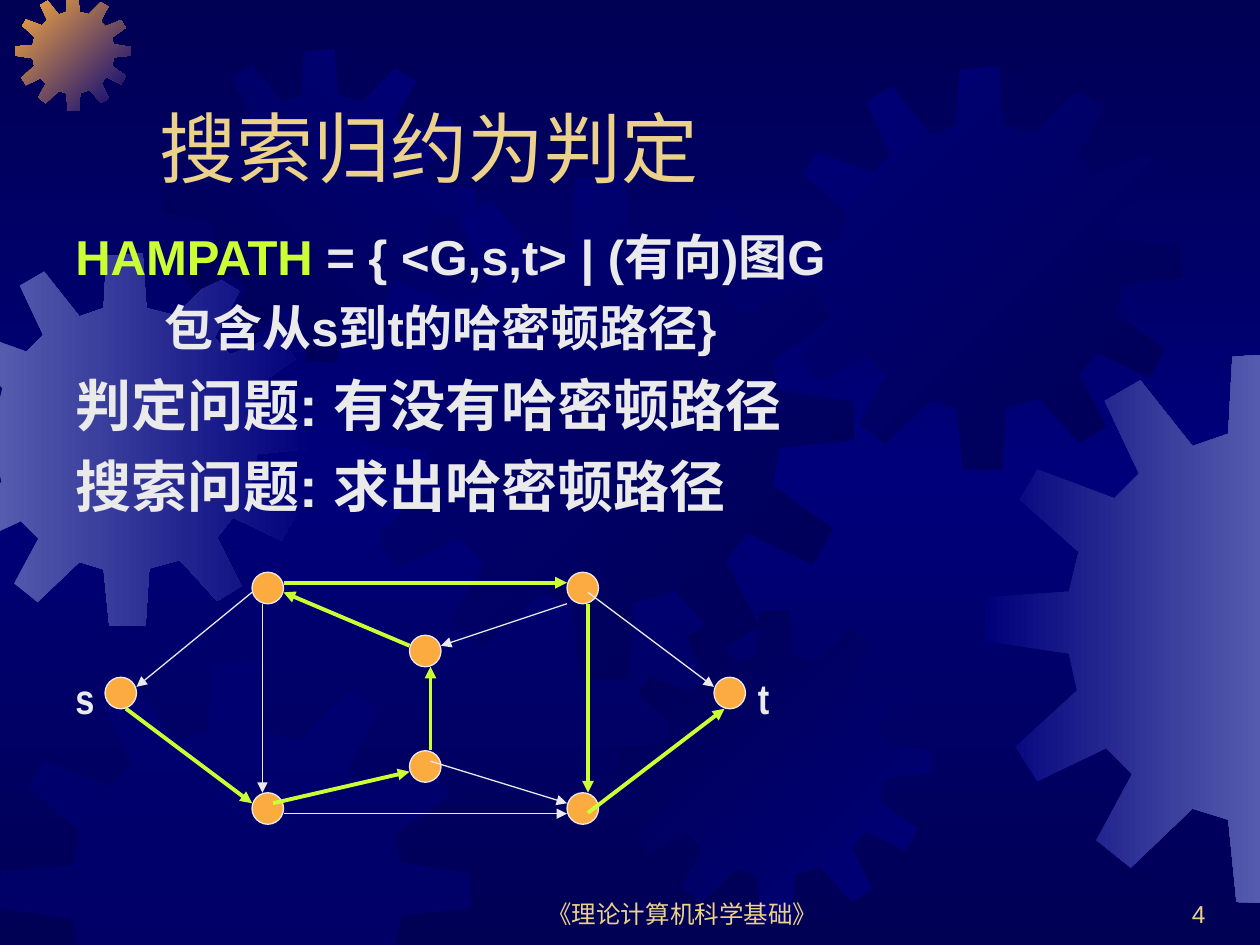
"""Build a slide on reducing search to decision, with a Hamiltonian path graph over a gear backdrop."""
import copy

import lxml.etree
import pptx
import pptx.dml.color
import pptx.enum.shapes
import pptx.enum.text
import pptx.oxml.ns
import pptx.util

Pt = pptx.util.Pt
qn = pptx.oxml.ns.qn
rgb = pptx.dml.color.RGBColor.from_string
ALIGN = pptx.enum.text.PP_ALIGN
ANCHOR = pptx.enum.text.MSO_ANCHOR

THEME = {
    "navy": "000054", "blue": "00007A", "steel": "555BAD", "orange": "FCAB40",
    "gold": "EBD189", "lime": "CCFF33", "pale": "EAEAEA",
    "title": 44, "large": 32, "body": 28, "label": 24, "footer": 14,
}
WIDTH, HEIGHT = 720, 540


def clip(points, axis, limit, sign):
    """Cut a polygon at one page edge."""
    kept = []
    for start, end in zip(points[-1:] + points[:-1], points):
        start_in, end_in = [sign * (point[axis] - limit) >= 0 for point in (start, end)]
        if start_in != end_in:
            share = (limit - start[axis]) / (end[axis] - start[axis])
            kept.append(tuple(a + share * (b - a) for a, b in zip(start, end)))
        if end_in:
            kept.append(end)
    return kept


def write(page, place, paragraphs, size, color, font="Arial", bold=False,
          align=ALIGN.LEFT, anchor=ANCHOR.TOP):
    """Add a text box; each paragraph is (format values, runs with their own font values)."""
    box = page.shapes.add_textbox(*map(Pt, place))
    frame = box.text_frame
    frame.word_wrap, frame.vertical_anchor = True, anchor
    for index, (layout, runs) in enumerate(paragraphs):
        para = frame.paragraphs[0] if index == 0 else frame.add_paragraph()
        para.alignment = align
        if "indent" in layout:
            para._p.get_or_add_pPr().set("marL", str(Pt(layout["indent"])))
        if "before" in layout:
            para.space_before = Pt(layout["before"])
        for text, shade in runs:
            span = para.add_run()
            span.text = text
            values = {"name": font, "bold": bold, "size": Pt(THEME[layout.get("size", size)])}
            for name, value in values.items():
                setattr(span.font, name, value)
            span.font.color.rgb = rgb(THEME[shade or color])


deck = pptx.Presentation()
deck.slide_width, deck.slide_height = Pt(WIDTH), Pt(HEIGHT)
page = deck.slides.add_slide(deck.slide_layouts[6])

backdrop = page.background.fill
backdrop.gradient()
backdrop.gradient_angle = 270
stop_list = next(page._element.iter(qn("a:gsLst")))
stop_list.append(copy.deepcopy(stop_list[0]))
for stop, position, color in zip(backdrop.gradient_stops, (0, 0.5, 1), ("navy", "blue", "navy")):
    stop.position, stop.color.rgb = position, rgb(THEME[color])

GEAR_SIZE = 401
GEAR = [
    (255, 67), (223, 59), (219, 0), (180, 3), (177, 59), (151, 68), (113, 20), (87, 35),
    (112, 88), (94, 106), (38, 85), (25, 107), (68, 145), (61, 174), (1, 178), (0, 210),
    (61, 219), (67, 246), (22, 287), (38, 312), (88, 288), (107, 307), (81, 355), (106, 375),
    (151, 332), (177, 340), (183, 400), (222, 401), (226, 339), (259, 330), (299, 374), (325, 358),
    (299, 306), (316, 284), (368, 309), (384, 281), (336, 246), (342, 216), (401, 210), (400, 180),
    (341, 171), (335, 148), (383, 114), (367, 87), (313, 109), (296, 91), (323, 41), (297, 25),
]
gears = [
    (-34.8, 144.7, 213.1, "steel", "blue", 0),
    (8.6, -2.9, 66.2, "orange", "blue", 45),
    (93.6, 28.1, 178.6, "navy", "blue", 315),
    (199.4, 100.1, 288.7, "blue", "navy", 45),
    (0, 378, 269.3, "blue", None, 0),
    (353.5, 348.5, 178.6, "navy", "blue", 45),
    (445, 38.2, 230.4, "blue", "navy", 45),
    (563, 201.6, 314.6, "blue", "steel", 0),
]
for left, top, size, first, last, angle in gears:
    outline = [(left + x * size / GEAR_SIZE, top + y * size / GEAR_SIZE) for x, y in GEAR]
    for axis, limit, sign in ((0, 0, 1), (0, WIDTH, -1), (1, 0, 1), (1, HEIGHT, -1)):
        outline = clip(outline, axis, limit, sign)
    corners = [(Pt(x), Pt(y)) for x, y in outline]
    builder = page.shapes.build_freeform(*corners[0])
    builder.add_line_segments(corners[1:], close=True)
    gear = builder.convert_to_shape()
    gear.shadow.inherit = False
    gear.line.fill.background()
    if last:
        gear.fill.gradient()
        gear.fill.gradient_angle = -angle % 360
        for stop, color in zip(gear.fill.gradient_stops, (first, last)):
            stop.color.rgb = rgb(THEME[color])
    else:
        gear.fill.solid()
        gear.fill.fore_color.rgb = rgb(THEME[first])
        solid = next(gear._element.spPr.iter(qn("a:srgbClr")))
        lxml.etree.SubElement(solid, qn("a:alpha")).set("val", "50000")

write(page, (276, 498, 228, 36), [({}, [("《理论计算机科学基础》", None)])],
      "footer", "gold", align=ALIGN.CENTER, anchor=ANCHOR.BOTTOM)
write(page, (546, 498, 150, 36), [({}, [("4", None)])],
      "footer", "gold", align=ALIGN.RIGHT, anchor=ANCHOR.BOTTOM)
write(page, (84, 24, 612, 90), [({}, [("搜索归约为判定", None)])],
      "title", "gold", anchor=ANCHOR.BOTTOM)
write(page, (36, 126, 648, 231), [
    ({}, [("HAMPATH ", "lime"), ("= { <G,s,t> | (有向)图G", None)]),
    ({"before": 7, "indent": 51}, [("包含从s到t的哈密顿路径}", None)]),
    ({"before": 8, "size": "large"}, [("判定问题: 有没有哈密顿路径", None)]),
    ({"before": 8, "size": "large"}, [("搜索问题: 求出哈密顿路径", None)]),
], "body", "pale", bold=True)

nodes = [(60, 387), (144, 327), (144, 453), (234, 363), (234, 429), (324, 327), (324, 453), (408, 387)]
for left, top in nodes:
    node = page.shapes.add_shape(pptx.enum.shapes.MSO_SHAPE.OVAL, Pt(left), Pt(top), Pt(18), Pt(18))
    node.shadow.inherit = False
    node.fill.solid()
    node.fill.fore_color.rgb = rgb(THEME["orange"])
    node.line.color.rgb = rgb(THEME["pale"])
    node.line.width = Pt(0.75)

other_edges = [
    (144, 338.5, 78, 392.5), (150, 345, 150, 453), (336, 338.5, 408, 392.5),
    (162, 465, 324, 465), (246, 435, 324, 459), (324, 345, 252, 369),
]
path_edges = [
    (72, 405, 144, 459), (156, 459, 234, 441), (246, 428.5, 246, 381), (234, 369, 162, 338.5),
    (162, 333, 324, 333), (336, 345, 336, 453), (336, 464.5, 414, 405),
]
for edges, color, weight in ((other_edges, "pale", 0.75), (path_edges, "lime", 2.25)):
    for ends in edges:
        arrow = page.shapes.add_connector(pptx.enum.shapes.MSO_CONNECTOR.STRAIGHT, *map(Pt, ends))
        arrow.line.color.rgb = rgb(THEME[color])
        arrow.line.width = Pt(weight)
        properties = arrow._element.spPr
        lxml.etree.SubElement(properties.find(qn("a:ln")), qn("a:tailEnd")).set("type", "triangle")
        lxml.etree.SubElement(properties, qn("a:effectLst"))

for left, name in ((36, "s"), (426, "t")):
    write(page, (left, 381, 36, 36), [({}, [(name, None)])],
          "label", "pale", font="Arial Narrow", bold=True)

deck.save("out.pptx")
